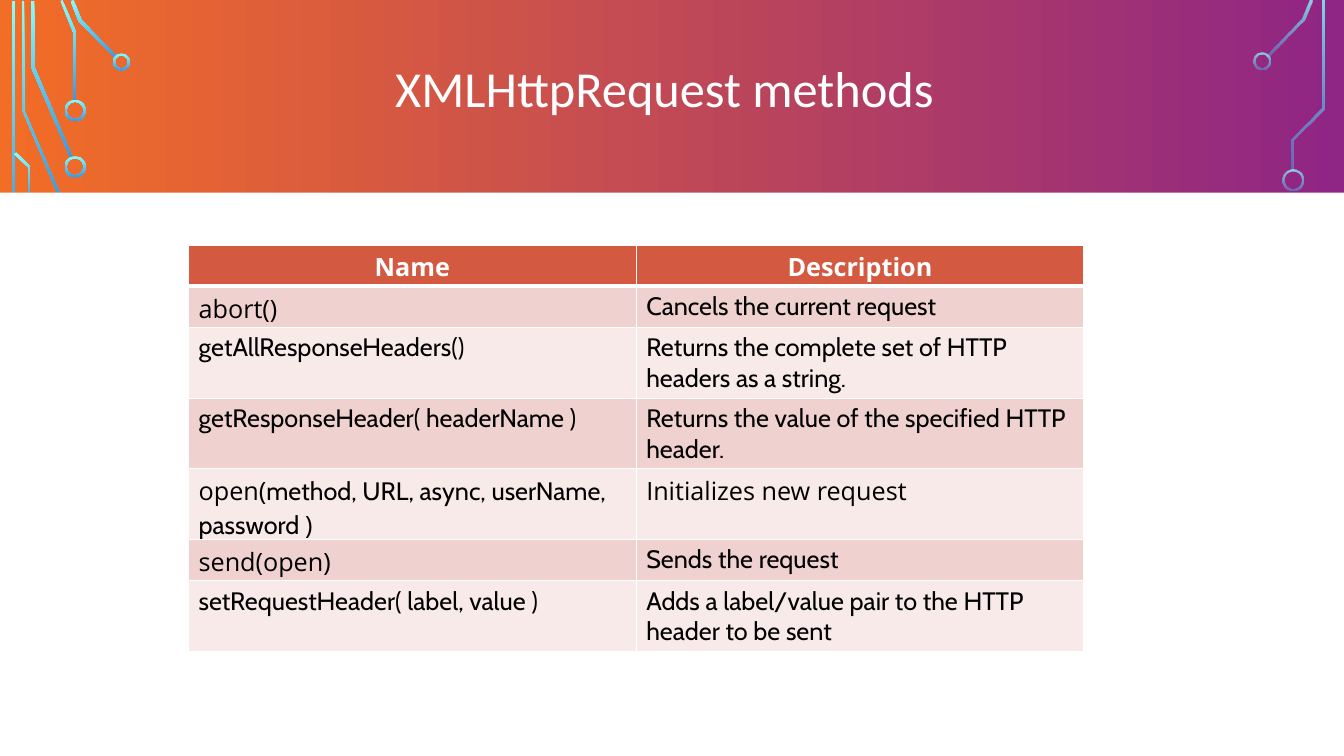
from lxml import etree
from pptx import Presentation
from pptx.dml.color import RGBColor
from pptx.enum import shapes, text
from pptx.oxml import ns
from pptx.util import Inches, Pt

COLORS = {
    "purple": "8F2585", "orange": "F26D26", "cyan": "82FFFF", "blue": "3D97DE",
    "white": "FFFFFF", "black": "000000",
    "header": "D35940", "dark_band": "EFD1CF", "light_band": "F7EAE8",
}
OPAQUE = (100, 100)
FADED = (80, 60)
SANS, CABIN = "Open Sans", "Cabin"

LEFT_TRACES = [
    [(0.12, 0.01), (0.15, 0.01), (0.15, 2.4), (0.12, 2.4)],
    [(0.6, 1.99), (0.22, 1.09), (0.22, 0.01), (0.24, 0.01), (0.24, 1.09), (0.62, 1.98)],
    [(0.7, 1.57), (0.31, 0.67), (0.31, 0.01), (0.34, 0.01), (0.34, 0.66), (0.72, 1.56)],
    [(0.76, 1), (0.73, 1), (0.73, 0.33), (0.6, 0.01), (0.62, 0), (0.76, 0.33)],
    [(1.15, 0.58), (0.78, 0.21), (0.7, 0.01), (0.73, 0), (0.81, 0.2), (1.16, 0.56)],
    [(0.3, 2.03), (0.28, 2.03), (0.28, 1.66), (0.14, 1.53), (0.16, 1.51), (0.3, 1.65)],
]
RIGHT_TRACES = [
    [(12.58, 0.56), (12.56, 0.55), (12.91, 0.19), (12.99, 0), (13.02, 0.01), (12.94, 0.2)],
    [(12.83, 1.69), (12.81, 1.69), (12.81, 1.38), (13.11, 1.07), (13.11, 0.01),
     (13.14, 0.01), (13.14, 1.08), (12.83, 1.39)],
]
LEFT_RINGS = [(0.64, 1.55, 0.21), (0.64, 0.99, 0.21), (1.12, 0.53, 0.17)]
RIGHT_RINGS = [(12.43, 0.52, 0.17), (12.72, 1.68, 0.21)]
RING_THICKNESS = 0.02

METHODS = [
    ([("abort()", SANS)], [("Cancels the current request", CABIN)]),
    ([("getAllResponseHeaders()", CABIN)],
     [("Returns the complete set of HTTP headers as a string.", CABIN)]),
    ([("getResponseHeader( headerName )", CABIN)],
     [("Returns the value of the specified HTTP header.", CABIN)]),
    ([("open(", SANS), ("method, URL, async, userName, password ", CABIN), (")", SANS)],
     [("Initializes new request", SANS)]),
    ([("send(open)", SANS)], [("Sends the request", CABIN)]),
    ([("setRequestHeader( label, value )", CABIN)],
     [("Adds a label/value pair to the HTTP header to be sent", CABIN)]),
]


def rgb(name):
    return RGBColor.from_string(COLORS[name])


def fill_gradient(fill, names, angle):
    fill.gradient()
    fill.gradient_angle = angle
    for stop, name in zip(fill.gradient_stops, names):
        stop.color.rgb = rgb(name)


def style_circuit(shape, opacity):
    shape.shadow.inherit = False
    shape.line.fill.background()
    fill_gradient(shape.fill, ("cyan", "blue"), 270)
    if opacity != OPAQUE:
        for color, percent in zip(shape._element.spPr.iter(ns.qn("a:srgbClr")), opacity):
            etree.SubElement(color, ns.qn("a:alpha"), val=str(percent * 1000))


def add_trace(slide, points, opacity):
    corners = [(Inches(x), Inches(y)) for x, y in points]
    builder = slide.shapes.build_freeform(*corners[0])
    builder.add_line_segments(corners[1:], close=True)
    style_circuit(builder.convert_to_shape(), opacity)


def add_ring(slide, left, top, size, opacity):
    ring = slide.shapes.add_shape(
        shapes.MSO_SHAPE.DONUT, Inches(left), Inches(top), Inches(size), Inches(size))
    ring.adjustments[0] = RING_THICKNESS / size
    style_circuit(ring, opacity)


def add_circuit(slide, traces, rings, opacity):
    for points in traces:
        add_trace(slide, points, opacity)
    for left, top, size in rings:
        add_ring(slide, left, top, size, opacity)


def add_panel(slide):
    panel = slide.shapes.add_shape(
        shapes.MSO_SHAPE.RECTANGLE, 0, Inches(1.91), Inches(13.33), Inches(5.59))
    panel.shadow.inherit = False
    panel.line.fill.background()
    panel.fill.solid()
    panel.fill.fore_color.rgb = rgb("white")


def style_run(run, font, size, color, bold=False):
    run.font.name = font
    run.font.size = Pt(size)
    run.font.bold = bold
    run.font.color.rgb = rgb(color)


def add_title(slide, wording):
    box = slide.shapes.add_textbox(Inches(0.54), Inches(0.53), Inches(11.83), Inches(0.75))
    frame = box.text_frame
    frame.word_wrap = True
    frame.margin_left = 0
    frame.vertical_anchor = text.MSO_ANCHOR.MIDDLE
    frame.text = wording
    paragraph = frame.paragraphs[0]
    paragraph.alignment = text.PP_ALIGN.CENTER
    paragraph.line_spacing = 0.9
    paragraph._p.get_or_add_pPr().set("marL", str(Inches(0.37)))
    style_run(paragraph.runs[0], "Calibri", 36, "white")


def set_borders(cell, top, bottom):
    properties = cell._tc.get_or_add_tcPr()
    for edge, points in (("L", 1), ("R", 1), ("T", top), ("B", bottom)):
        line = etree.SubElement(properties, ns.qn(f"a:ln{edge}"), w=str(Pt(points)))
        solid = etree.SubElement(line, ns.qn("a:solidFill"))
        etree.SubElement(solid, ns.qn("a:srgbClr"), val=COLORS["white"])


def fill_cell(cell, pieces, row_index):
    is_header = row_index == 0
    set_borders(cell, 3 if row_index == 1 else 1, 3 if is_header else 1)
    band = "header" if is_header else ("light_band", "dark_band")[row_index % 2]
    cell.fill.solid()
    cell.fill.fore_color.rgb = rgb(band)
    paragraph = cell.text_frame.paragraphs[0]
    paragraph.alignment = text.PP_ALIGN.CENTER if is_header else text.PP_ALIGN.LEFT
    for wording, font in pieces:
        run = paragraph.add_run()
        run.text = wording
        style_run(run, font, 18, "white" if is_header else "black", is_header)


def add_method_table(slide):
    rows = [([("Name", SANS)], [("Description", SANS)])] + METHODS
    row_height = Inches(0.41)
    table = slide.shapes.add_table(
        len(rows), 2, Inches(1.87), Inches(2.43), Inches(8.88), row_height * len(rows)).table
    table.horz_banding = False
    for row_index, row in enumerate(rows):
        table.rows[row_index].height = row_height
        for column_index, pieces in enumerate(row):
            fill_cell(table.cell(row_index, column_index), pieces, row_index)


def main():
    presentation = Presentation()
    presentation.slide_width = Inches(13.33)
    presentation.slide_height = Inches(7.5)
    slide = presentation.slides.add_slide(presentation.slide_layouts[6])
    fill_gradient(slide.background.fill, ("purple", "orange"), 180)
    add_circuit(slide, LEFT_TRACES, LEFT_RINGS, OPAQUE)
    add_circuit(slide, RIGHT_TRACES, RIGHT_RINGS, FADED)
    add_panel(slide)
    add_title(slide, "XMLHttpRequest methods")
    add_method_table(slide)
    presentation.save("out.pptx")


if __name__ == "__main__":
    main()
